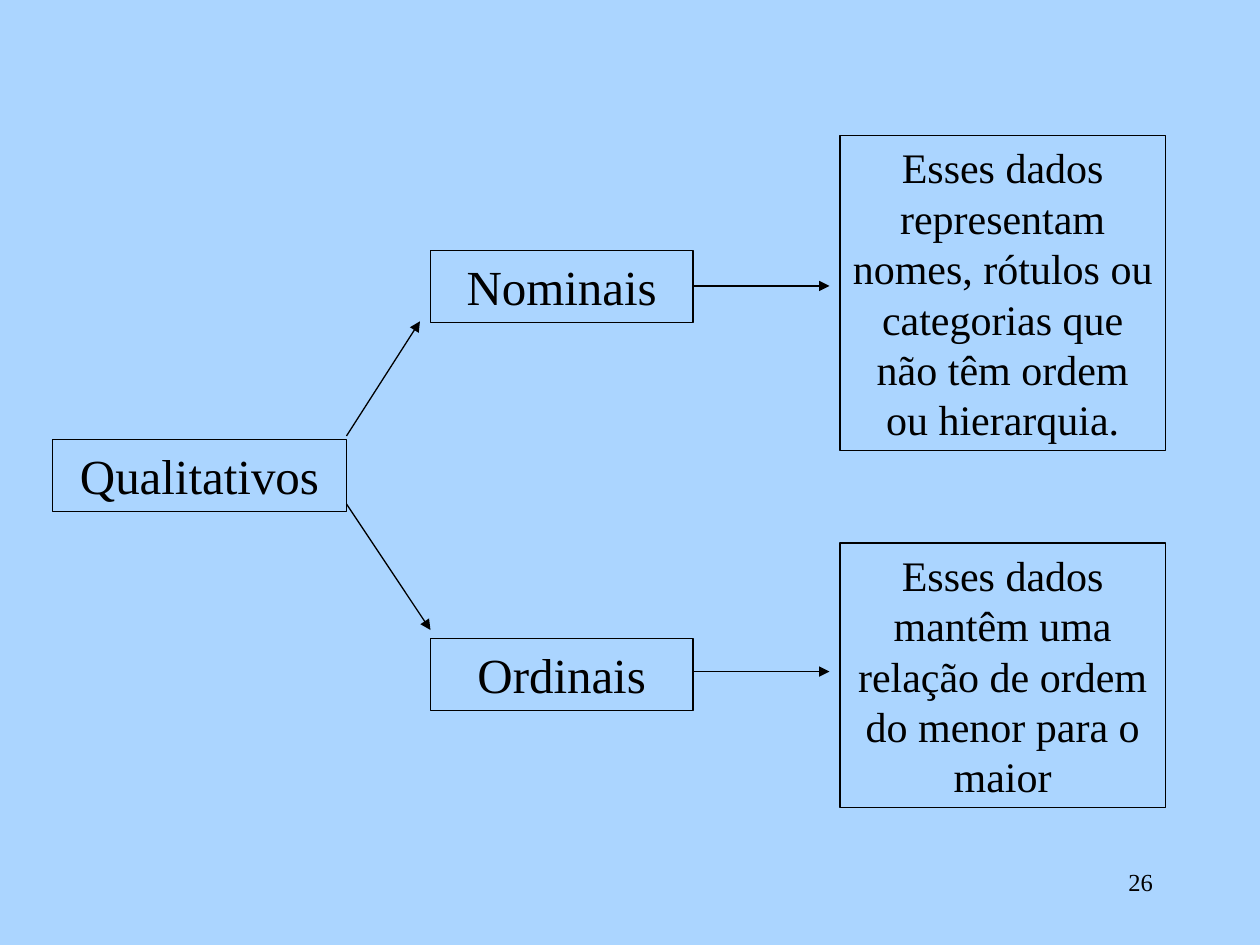
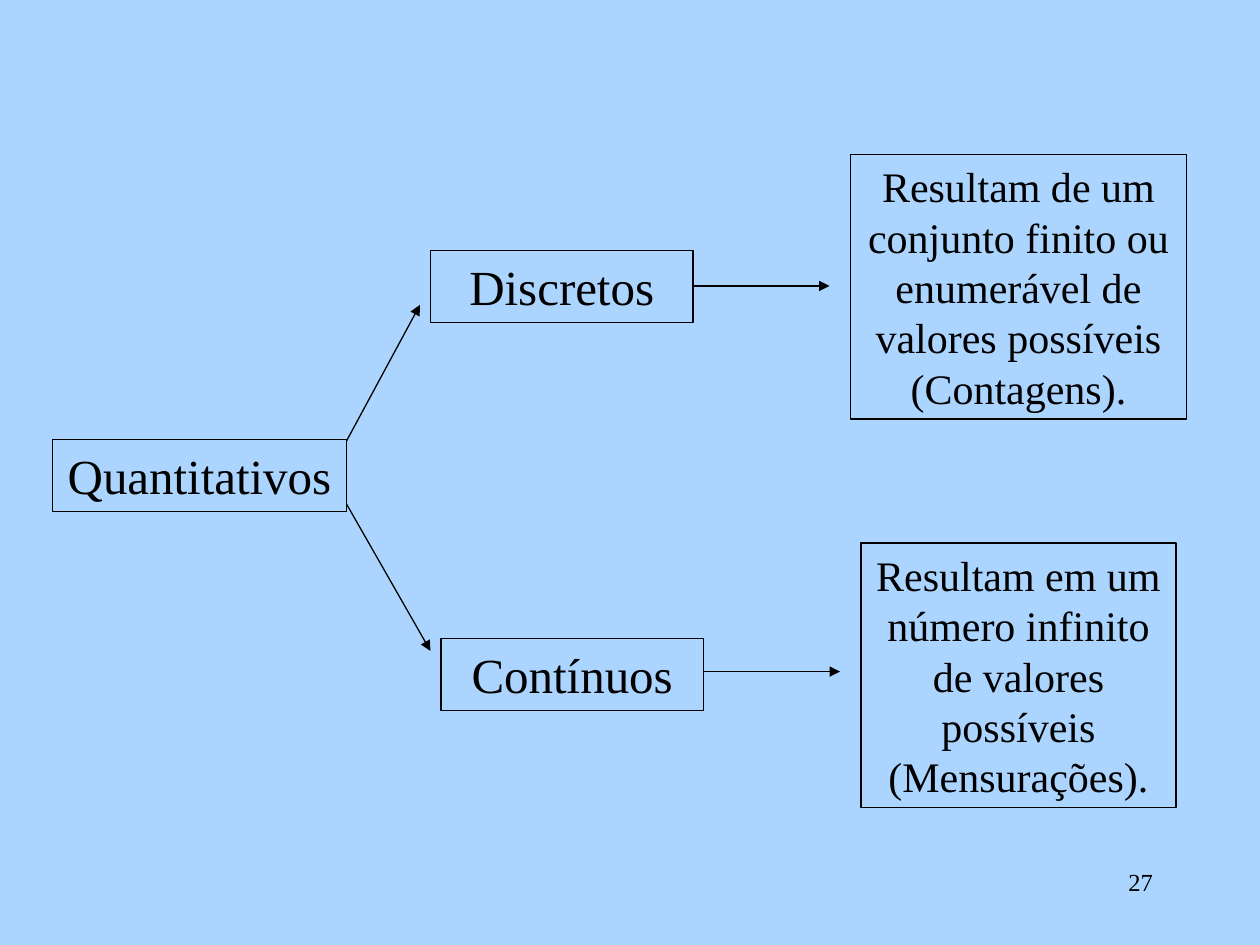
"""Builds two tree diagrams that classify qualitative and quantitative data."""
from dataclasses import dataclass

from lxml import etree
from pptx import Presentation
from pptx.dml.color import RGBColor
from pptx.enum.shapes import MSO_CONNECTOR, MSO_SHAPE
from pptx.enum.text import MSO_ANCHOR, MSO_AUTO_SIZE, PP_ALIGN
from pptx.oxml.ns import qn
from pptx.util import Inches, Pt

RECTANGLE = MSO_SHAPE.RECTANGLE
STRAIGHT = MSO_CONNECTOR.STRAIGHT
TOP = MSO_ANCHOR.TOP
CENTER, RIGHT = PP_ALIGN.CENTER, PP_ALIGN.RIGHT
GROW, FIXED = MSO_AUTO_SIZE.SHAPE_TO_FIT_TEXT, MSO_AUTO_SIZE.NONE
BLANK_LAYOUT = 6
CELLS_PER_INCH = 12
COLUMNS, ROWS = 120, 90


@dataclass(frozen=True)
class Theme:
    """Colours, font and type sizes shared by the deck."""
    background: RGBColor = RGBColor(0xAB, 0xD5, 0xFF)
    ink: RGBColor = RGBColor(0, 0, 0)
    font: str = "Times New Roman"
    label: int = 28
    description: int = 24
    number: int = 14
    line: float = 0.75


@dataclass(frozen=True)
class Branch:
    """One kind of data: its label, its description and the arrow from the root."""
    label: str
    left: float
    description: str
    description_area: tuple
    stem_start: tuple
    stem_end: tuple


@dataclass(frozen=True)
class Diagram:
    """A root label with an upper and a lower branch."""
    number: str
    root: str
    branches: tuple


THEME = Theme()
ROOT_AREA = (5, 41.88, 28, 6.84)
LABEL_TOPS = (23.88, 60.84)
ARROW_ROWS = (27.24, 63.96)
LABEL_WIDTH, LABEL_HEIGHT = 25, 6.84
ARROW_LENGTH = 13
NUMBER_AREA = (86, 82, 25, 6)

DIAGRAMS = (
    Diagram("26", "Qualitativos", (
        Branch("Nominais", 41,
               "Esses dados representam nomes, rótulos ou categorias "
               "que não têm ordem ou hierarquia.",
               (80, 12.92, 31, 30), (33, 41.52), (40, 30.6)),
        Branch("Ordinais", 41,
               "Esses dados mantêm uma relação de ordem do menor para o maior",
               (80, 51.72, 31, 25.2), (33, 48), (41, 60)),
    )),
    Diagram("27", "Quantitativos", (
        Branch("Discretos", 41,
               "Resultam de um conjunto finito ou enumerável "
               "de valores possíveis (Contagens).",
               (81, 14.72, 32, 25.2), (33, 42), (40, 29.04)),
        Branch("Contínuos", 42,
               "Resultam em um número infinito de valores possíveis (Mensurações).",
               (82, 51.72, 30, 25.2), (33, 48), (41, 62)),
    )),
)


def cells(*counts):
    """Turn counts of grid cells into lengths."""
    return [Inches(count / CELLS_PER_INCH) for count in counts]


def apply(target, values):
    """Set each named attribute of the target."""
    for name, value in values.items():
        setattr(target, name, value)


def draw_outline(line):
    """Give a line the ink colour and the shared width."""
    line.color.rgb = THEME.ink
    line.width = Pt(THEME.line)


def write(box, text, size, alignment, auto_size):
    """Fill a box with one formatted paragraph."""
    frame = box.text_frame
    apply(frame, {"word_wrap": True, "vertical_anchor": TOP, "auto_size": auto_size})
    paragraph = frame.paragraphs[0]
    paragraph.alignment = alignment
    span = paragraph.add_run()
    span.text = text
    apply(span.font, {"name": THEME.font, "size": Pt(size)})
    span.font.color.rgb = THEME.ink


def add_framed_text(page, area, text, size):
    """Add an unfilled rectangle with centred text."""
    box = page.shapes.add_shape(RECTANGLE, *cells(*area))
    box.shadow.inherit = False
    box.fill.background()
    draw_outline(box.line)
    write(box, text, size, CENTER, GROW)


def add_arrow(page, start, end):
    """Add a straight line with a triangular head at its end."""
    arrow = page.shapes.add_connector(STRAIGHT, *cells(*start, *end))
    draw_outline(arrow.line)
    properties = arrow.line._get_or_add_ln()
    etree.SubElement(properties, qn("a:tailEnd"), type="triangle")
    etree.SubElement(properties.getparent(), qn("a:effectLst"))


def add_page_number(page, number):
    """Add the right-aligned number at the foot of the page."""
    box = page.shapes.add_textbox(*cells(*NUMBER_AREA))
    write(box, number, THEME.number, RIGHT, FIXED)


def add_branch(page, branch, label_top, arrow_row):
    """Add the label, description and both arrows of a branch."""
    label_area = (branch.left, label_top, LABEL_WIDTH, LABEL_HEIGHT)
    label_right = branch.left + LABEL_WIDTH
    add_framed_text(page, label_area, branch.label, THEME.label)
    add_framed_text(page, branch.description_area, branch.description, THEME.description)
    add_arrow(page, (label_right, arrow_row), (label_right + ARROW_LENGTH, arrow_row))
    add_arrow(page, branch.stem_start, branch.stem_end)


def add_diagram(deck, diagram):
    """Add a page with a whole tree diagram."""
    page = deck.slides.add_slide(deck.slide_layouts[BLANK_LAYOUT])
    add_page_number(page, diagram.number)
    add_framed_text(page, ROOT_AREA, diagram.root, THEME.label)
    for branch, label_top, arrow_row in zip(diagram.branches, LABEL_TOPS, ARROW_ROWS):
        add_branch(page, branch, label_top, arrow_row)


def main():
    """Build and save the deck."""
    deck = Presentation()
    deck.slide_width, deck.slide_height = cells(COLUMNS, ROWS)
    fill = deck.slide_master.background.fill
    fill.solid()
    fill.fore_color.rgb = THEME.background
    for diagram in DIAGRAMS:
        add_diagram(deck, diagram)
    deck.save("out.pptx")


if __name__ == "__main__":
    main()
